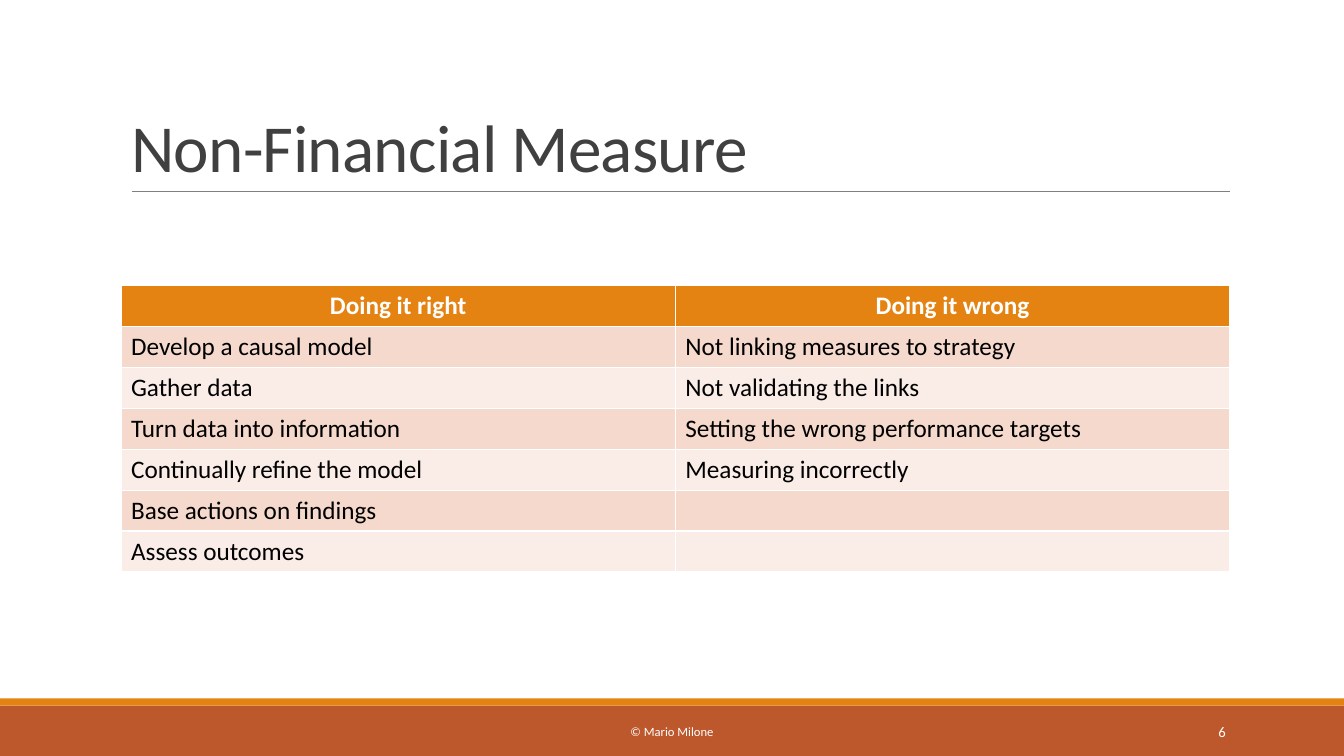
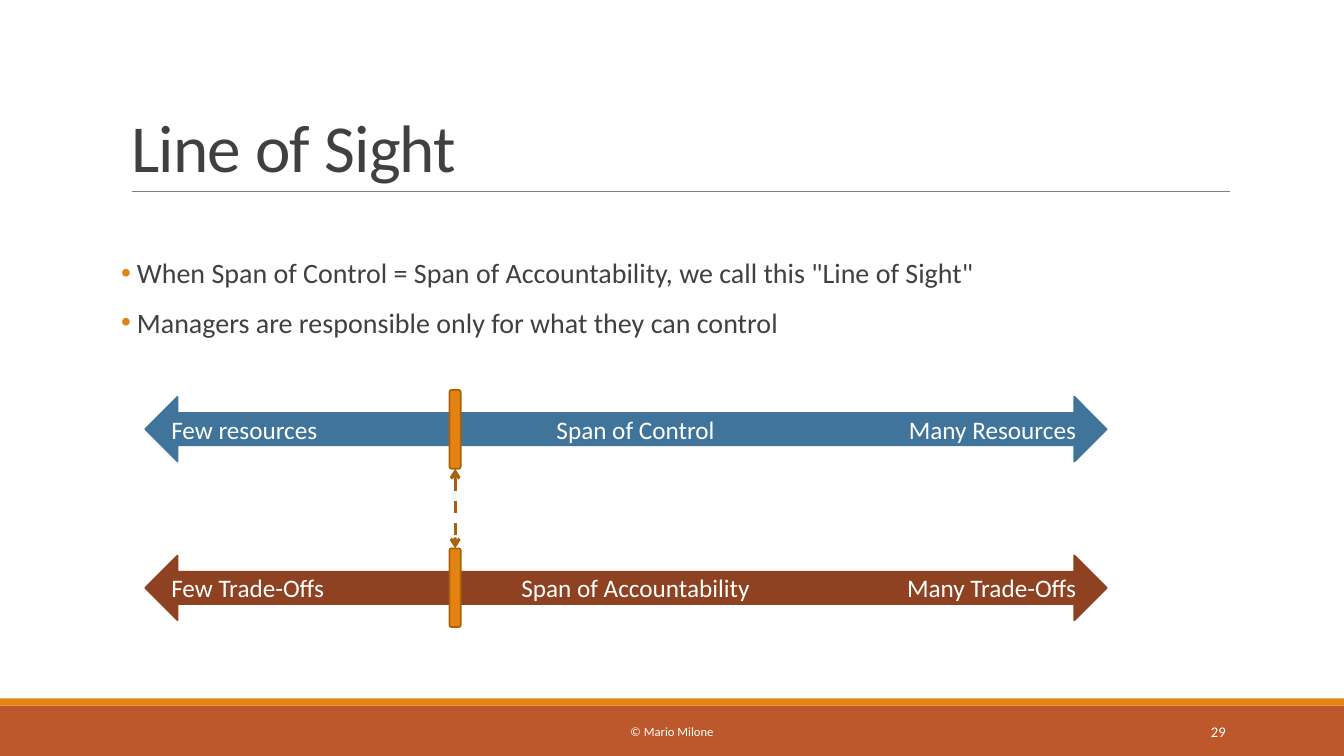
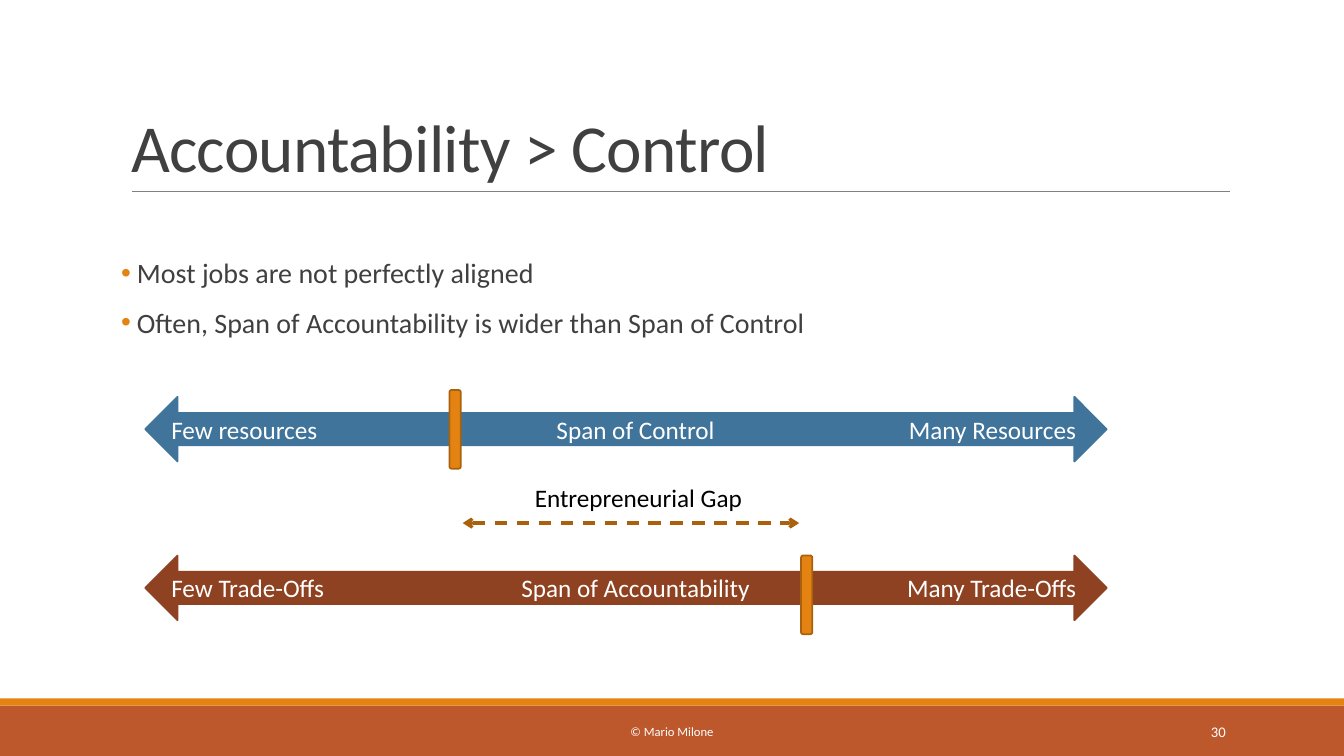
from dataclasses import dataclass

from lxml import etree
from pptx import Presentation
from pptx.dml.color import RGBColor
from pptx.enum.dml import MSO_LINE
from pptx.enum.shapes import MSO_CONNECTOR, MSO_SHAPE
from pptx.enum.text import MSO_ANCHOR, MSO_AUTO_SIZE, PP_ALIGN
from pptx.oxml.ns import qn
from pptx.util import Cm, Pt

LEFT, CENTER, RIGHT = PP_ALIGN.LEFT, PP_ALIGN.CENTER, PP_ALIGN.RIGHT
TOP, MIDDLE, BOTTOM = MSO_ANCHOR.TOP, MSO_ANCHOR.MIDDLE, MSO_ANCHOR.BOTTOM
NO_AUTOFIT = MSO_AUTO_SIZE.NONE
STRAIGHT = MSO_CONNECTOR.STRAIGHT
DASH = MSO_LINE.DASH
RECT, ROUND_RECT = MSO_SHAPE.RECTANGLE, MSO_SHAPE.ROUNDED_RECTANGLE
DOUBLE_ARROW = MSO_SHAPE.LEFT_RIGHT_ARROW
TITLE_AND_BODY, TITLE_ONLY = 1, 5


@dataclass(frozen=True)
class Theme:
    font: str = "Calibri"
    white: str = "FFFFFF"
    black: str = "000000"
    text: str = "404040"
    rule: str = "808080"
    accent: str = "E48312"
    accent_dark: str = "A9610D"
    footer: str = "BD582C"
    control: str = "40749B"
    accountability: str = "8E4221"
    row_fills: tuple = ("F5D9CC", "FAEDE7")
    title_size: float = 48
    body_size: float = 20
    label_size: float = 18
    number_size: float = 10.5
    footer_size: float = 9


THEME = Theme()
WIDTH, HEIGHT = 33.87, 19.05
CONTENT_LEFT, CONTENT_WIDTH = 3.05, 27.94

ARROW_LEFT, ARROW_WIDTH, ARROW_HEIGHT = 3.66, 24.23, 1.63
CONTROL_TOP, ACCOUNTABILITY_TOP = 10, 14
LABEL_TABS = (("ctr", 11.7), ("r", 22.8))
MARKER_WIDTH, MARKER_HEIGHT = 0.28, 1.98
MARKER_LEFT = 11.33

MEASURES = [
    ("Doing it right", "Doing it wrong"),
    ("Develop a causal model", "Not linking measures to strategy"),
    ("Gather data", "Not validating the links"),
    ("Turn data into information", "Setting the wrong performance targets"),
    ("Continually refine the model", "Measuring incorrectly"),
    ("Base actions on findings", ""),
    ("Assess outcomes", ""),
]


def rgb(color):
    return RGBColor.from_string(color)


def box(left, top, width, height):
    return [Cm(v) for v in (left, top, width, height)]


def set_all(target, values):
    for name, value in values.items():
        setattr(target, name, value)


def write(p, text, size, color, bold=False, **paragraph_format):
    """Add a run to a paragraph and format both."""
    set_all(p, paragraph_format)
    r = p.add_run()
    r.text = text
    set_all(r.font, {"name": THEME.font, "size": Pt(size), "bold": bold})
    r.font.color.rgb = rgb(color)
    return r


def add_shape(slide, kind, place, fill, line=None):
    sp = slide.shapes.add_shape(kind, *box(*place))
    sp.shadow.inherit = False
    sp.fill.solid()
    sp.fill.fore_color.rgb = rgb(fill)
    if line:
        sp.line.color.rgb = rgb(line)
        sp.line.width = Pt(1.25)
    else:
        sp.line.fill.background()
    return sp


def add_line(slide, start, end, color, width):
    line = slide.shapes.add_connector(STRAIGHT, *[Cm(v) for v in (*start, *end)])
    line.line.color.rgb = rgb(color)
    line.line.width = Pt(width)
    etree.SubElement(line.element.spPr, qn("a:effectLst"))
    return line


def add_dashed_arrow(slide, start, end):
    line = add_line(slide, start, end, THEME.accent_dark, 2.25)
    line.line.dash_style = DASH
    ln = line.element.spPr.find(qn("a:ln"))
    for tag in ("a:headEnd", "a:tailEnd"):
        etree.SubElement(ln, qn(tag), type="arrow")


def add_text(slide, place, text, size, color, align, anchor=MIDDLE):
    tf = slide.shapes.add_textbox(*box(*place)).text_frame
    set_all(tf, {"word_wrap": True, "vertical_anchor": anchor})
    write(tf.paragraphs[0], text, size, color, alignment=align)


def decorate_master(prs, slide):
    """Draw the bands and title rule, then move them to the master."""
    parts = [
        add_shape(slide, RECT, (0, 17.78, WIDTH, 1.27), THEME.footer),
        add_shape(slide, RECT, (0, 17.6, WIDTH, 0.18), THEME.accent),
        add_line(slide, (3.32, 4.82), (31, 4.82), THEME.rule, 0.5),
    ]
    for part in parts:
        prs.slide_master.shapes.element.append(part.element)


def place_placeholder(sp, place, anchor):
    set_all(sp, dict(zip(("left", "top", "width", "height"), box(*place))))
    tf = sp.text_frame
    set_all(tf, {"auto_size": NO_AUTOFIT, "word_wrap": True, "vertical_anchor": anchor})
    return tf


def add_slide(prs, layout, title, number):
    slide = prs.slides.add_slide(prs.slide_layouts[layout])
    tf = place_placeholder(slide.shapes.title,
                           (CONTENT_LEFT, 0.79, CONTENT_WIDTH, 4.04), BOTTOM)
    r = write(tf.paragraphs[0], title, THEME.title_size, THEME.text,
              alignment=LEFT, line_spacing=0.85)
    r.font.element.set("spc", "-50") if hasattr(r.font, "element") else r._r.get_or_add_rPr().set("spc", "-50")
    add_text(slide, (10.24, 17.93, 13.39, 1.02), "© Mario Milone",
             THEME.footer_size, THEME.white, CENTER)
    add_text(slide, (27.51, 17.93, 3.63, 1.02), str(number),
             THEME.number_size, THEME.white, RIGHT)
    return slide


def add_bullets(slide, items):
    tf = place_placeholder(slide.placeholders[1],
                           (CONTENT_LEFT, 6.4, CONTENT_WIDTH, 3), TOP)
    set_all(tf, {"margin_left": 0, "margin_right": 0})
    for i, item in enumerate(items):
        p = tf.add_paragraph() if i else tf.paragraphs[0]
        write(p, item, THEME.body_size, THEME.text, alignment=LEFT,
              line_spacing=0.9, space_before=Pt(12), space_after=Pt(2))
        pPr = p._p.get_or_add_pPr()
        pPr.set("marL", str(Cm(0.4)))
        pPr.set("indent", str(-Cm(0.4)))
        color = etree.SubElement(pPr, qn("a:buClr"))
        etree.SubElement(color, qn("a:srgbClr"), val=THEME.accent)
        etree.SubElement(pPr, qn("a:buChar"), char="•")


def add_measure_table(slide, rows):
    place = box(CONTENT_LEFT, 7.2, CONTENT_WIDTH, 1.03 * len(rows))
    table = slide.shapes.add_table(len(rows), len(rows[0]), *place).table
    for i, row in enumerate(rows):
        header = i == 0
        for j, text in enumerate(row):
            cell = table.cell(i, j)
            cell.fill.solid()
            cell.fill.fore_color.rgb = rgb(
                THEME.accent if header else THEME.row_fills[(i - 1) % 2])
            if text:
                write(cell.text_frame.paragraphs[0], text, THEME.label_size,
                      THEME.white if header else THEME.black, header,
                      alignment=CENTER if header else LEFT)


def add_span_arrow(slide, top, color, labels):
    """Double arrow with a label at its left, centre and right."""
    sp = add_shape(slide, DOUBLE_ARROW,
                   (ARROW_LEFT, top, ARROW_WIDTH, ARROW_HEIGHT), color, color)
    tf = sp.text_frame
    set_all(tf, {"word_wrap": True, "vertical_anchor": MIDDLE})
    p = tf.paragraphs[0]
    write(p, "\t".join(labels), THEME.label_size, THEME.white, alignment=LEFT)
    tabs = etree.SubElement(p._p.get_or_add_pPr(), qn("a:tabLst"))
    for align, position in LABEL_TABS:
        etree.SubElement(tabs, qn("a:tab"), pos=str(Cm(position)), algn=align)


def add_marker(slide, left, top):
    add_shape(slide, ROUND_RECT, (left, top, MARKER_WIDTH, MARKER_HEIGHT),
              THEME.accent, THEME.accent_dark)


def add_span_diagram(slide, markers):
    add_span_arrow(slide, CONTROL_TOP, THEME.control,
                   ("Few resources", "Span of Control", "Many Resources"))
    add_span_arrow(slide, ACCOUNTABILITY_TOP, THEME.accountability,
                   ("Few Trade-Offs", "Span of Accountability", "Many Trade-Offs"))
    for left, top in markers:
        add_marker(slide, left, top)


def main():
    prs = Presentation()
    prs.slide_width, prs.slide_height = Cm(WIDTH), Cm(HEIGHT)

    slide = add_slide(prs, TITLE_ONLY, "Non-Financial Measure", 6)
    decorate_master(prs, slide)
    add_measure_table(slide, MEASURES)

    control_marker = (MARKER_LEFT, 9.83)

    slide = add_slide(prs, TITLE_AND_BODY, "Line of Sight", 29)
    add_bullets(slide, [
        'When Span of Control = Span of Accountability, we call this "Line of Sight"',
        "Managers are responsible only for what they can control",
    ])
    add_span_diagram(slide, [control_marker, (MARKER_LEFT, 13.82)])
    middle = MARKER_LEFT + MARKER_WIDTH / 2
    add_dashed_arrow(slide, (middle, 9.83 + MARKER_HEIGHT), (middle, 13.82))

    slide = add_slide(prs, TITLE_AND_BODY, "Accountability > Control", 30)
    add_bullets(slide, [
        "Most jobs are not perfectly aligned",
        "Often, Span of Accountability is wider than Span of Control",
    ])
    add_span_diagram(slide, [control_marker, (20.19, ACCOUNTABILITY_TOP)])
    add_dashed_arrow(slide, (11.66, 13.18), (20.14, 13.18))
    add_text(slide, (12.37, 12.04, 7.44, 1.02), "Entrepreneurial Gap",
             THEME.label_size, THEME.black, CENTER, TOP)

    prs.save("out.pptx")


if __name__ == "__main__":
    main()
